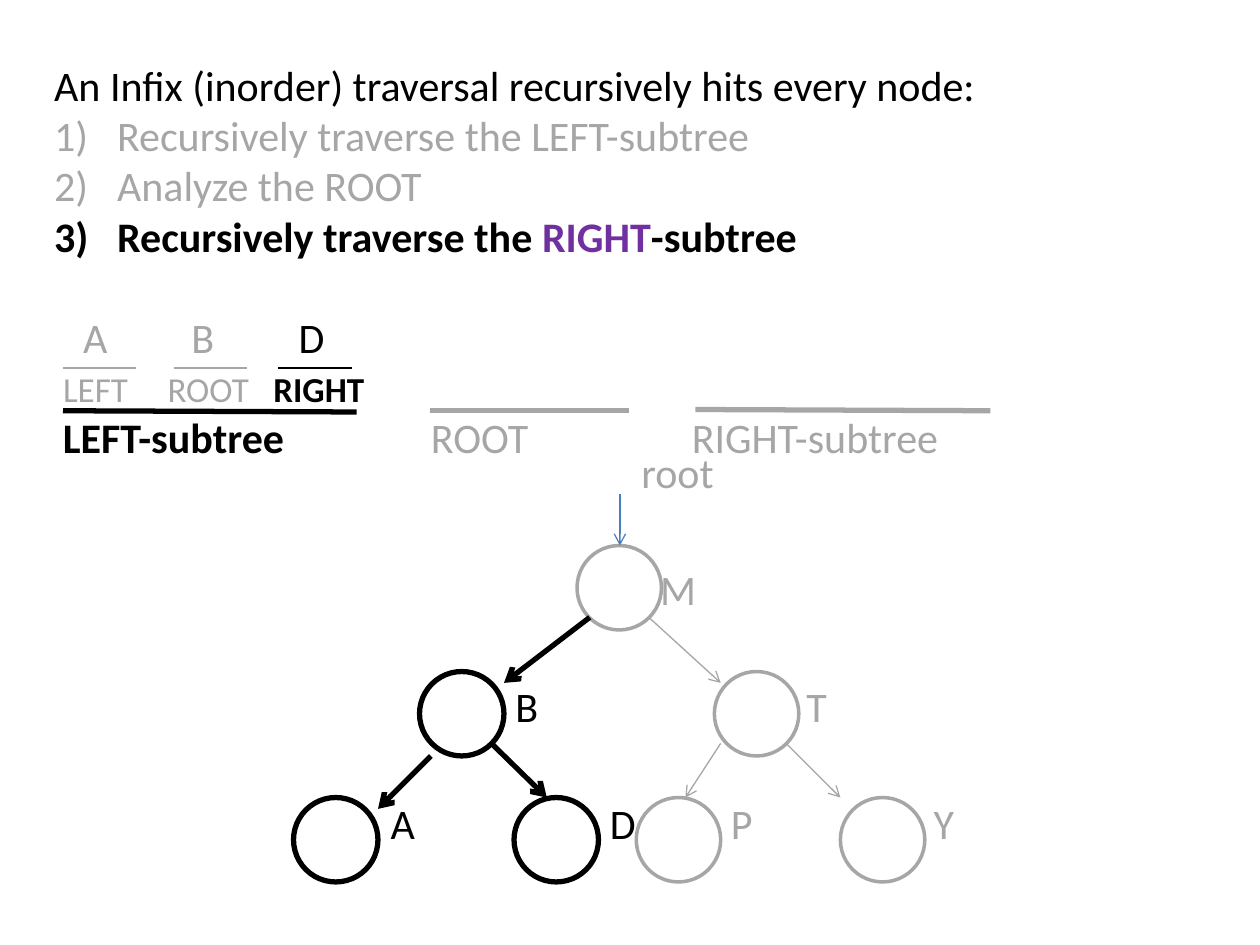
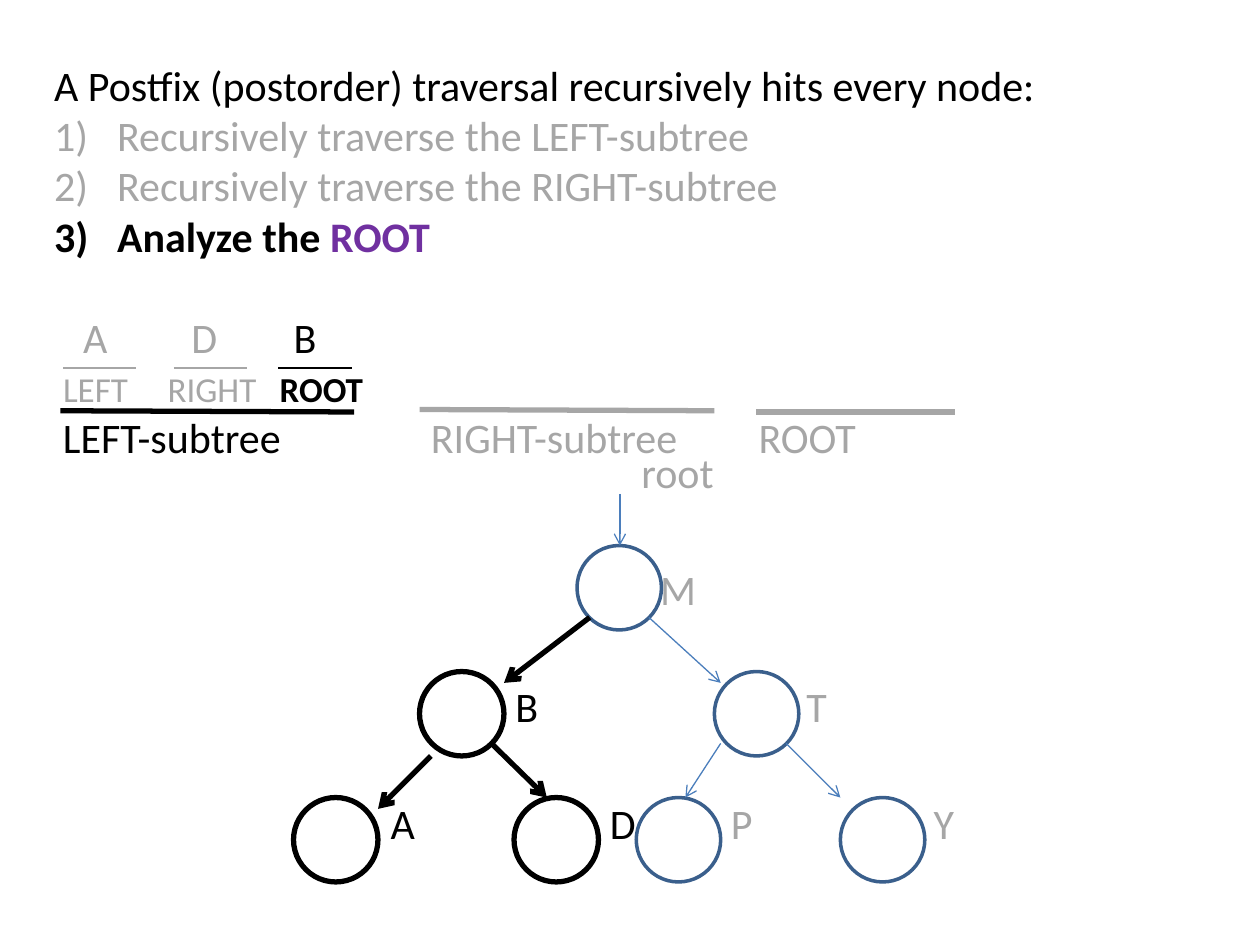
"""Builds two slides on recursive inorder and postorder tree traversal."""
from lxml.etree import SubElement
from pptx import Presentation
from pptx.dml.color import RGBColor
from pptx.enum.shapes import MSO_CONNECTOR, MSO_SHAPE
from pptx.enum.text import MSO_ANCHOR, MSO_AUTO_SIZE, PP_ALIGN
from pptx.oxml.ns import qn
from pptx.util import Inches, Pt

COLORS = {"black": "000000", "faded": "A6A6A6", "purple": "7030A0",
          "arrow": "4B7EBC", "node": "3A5F8C"}
FRAME = {"margin_left": 0, "margin_right": 0, "margin_top": 0, "margin_bottom": 0,
         "vertical_anchor": MSO_ANCHOR.TOP, "auto_size": MSO_AUTO_SIZE.NONE}
TEXT_LEFT, TEXT_TOP, LINE_PITCH = 0.43, 0.47, 0.4
NODE_SIZE, ROOT_TOP, LABEL_TOP, LABEL_PITCH = 0.67, 4.33, 4.47, 0.93

# name: (level, circle left, label left, on the active subtree)
NODES = {"M": (0, 4.58, 5.24, False), "B": (1, 3.33, 4.09, True),
         "T": (1, 5.67, 6.4, False), "A": (2, 2.33, 3.1, True),
         "D": (2, 4.08, 4.84, True), "P": (2, 5.05, 5.8, False),
         "Y": (2, 6.67, 7.41, False)}
ACTIVE_EDGES = [(4.68, 4.9, 4, 5.42), (3.42, 6, 3, 6.42), (3.9, 5.9, 4.34, 6.33)]
OTHER_EDGES = [(5.15, 4.9, 5.72, 5.42), (5.72, 5.9, 5.44, 6.33), (6.24, 5.9, 6.67, 6.33)]
VISIT_RULES = [(0.5, "faded"), (1.38, "faded"), (2.21, "black")]

TRAVERSALS = [
    {"heading": "An Infix (inorder) traversal recursively hits every node:",
     "steps": ["Recursively traverse the LEFT-subtree", "Analyze the ROOT"],
     "current": [("Recursively traverse the ", "black"), ("RIGHT", "purple"),
                 ("-subtree", "black")],
     "visits": [("A", 0.66, "LEFT", 0.5), ("B", 1.52, "ROOT", 1.33),
                ("D", 2.37, "RIGHT", 2.17)],
     "parts": [("LEFT-subtree", 0.5), ("ROOT", 3.42), ("RIGHT-subtree", 5.49)],
     "part_rules": [(0.5, 3.26, 2.83, 3.27), (3.41, 3.26, 4.99, 3.26),
                    (5.52, 3.25, 7.86, 3.26)],
     "bold_part": True, "node": "faded", "edge": "faded"},
    {"heading": "A Postfix (postorder) traversal recursively hits every node:",
     "steps": ["Recursively traverse the LEFT-subtree",
               "Recursively traverse the RIGHT-subtree"],
     "current": [("Analyze the ", "black"), ("ROOT", "purple")],
     "visits": [("A", 0.66, "LEFT", 0.5), ("D", 1.52, "RIGHT", 1.33),
                ("B", 2.33, "ROOT", 2.22)],
     "parts": [("LEFT-subtree", 0.5), ("RIGHT-subtree", 3.42), ("ROOT", 6.02)],
     "part_rules": [(0.48, 3.26, 2.81, 3.27), (3.33, 3.25, 5.67, 3.26),
                    (6, 3.27, 7.58, 3.27)],
     "bold_part": False, "node": "node", "edge": "arrow"},
]


def row_top(row):
    """Return the top of a text row counted from the heading."""
    return TEXT_TOP + row * LINE_PITCH


class TraversalDeck:
    """Holds the presentation, its style and the current slide."""

    def __init__(self):
        self.deck = Presentation()
        self.deck.slide_width, self.deck.slide_height = Inches(10), Inches(7.5)
        self.slide = None

    def color(self, name):
        return RGBColor.from_string(COLORS[name])

    def frame(self, shape, wrap):
        for name, value in FRAME.items():
            setattr(shape.text_frame, name, value)
        shape.text_frame.word_wrap = wrap
        return shape.text_frame

    def run(self, paragraph, text, color, size=24, bold=False):
        piece = paragraph.add_run()
        piece.text = text
        for name, value in {"name": "Calibri", "size": Pt(size), "bold": bold}.items():
            setattr(piece.font, name, value)
        piece.font.color.rgb = self.color(color)

    def heading(self, text):
        self.slide = self.deck.slides.add_slide(self.deck.slide_layouts[5])
        title = self.slide.shapes.title
        place = {"left": TEXT_LEFT, "top": TEXT_TOP, "width": 9.3, "height": LINE_PITCH}
        for name, value in place.items():
            setattr(title, name, Inches(value))
        paragraph = self.frame(title, True).paragraphs[0]
        paragraph.alignment = PP_ALIGN.LEFT
        self.run(paragraph, text, "black")

    def steps(self, done, current):
        box = self.slide.shapes.add_textbox(Inches(TEXT_LEFT), Inches(row_top(1)),
                                            Inches(9.3), Inches(3 * LINE_PITCH))
        frame = self.frame(box, True)
        lines = [[(text, "faded")] for text in done] + [current]
        for index, pieces in enumerate(lines):
            paragraph = frame.paragraphs[0] if index == 0 else frame.add_paragraph()
            props = paragraph._p.get_or_add_pPr()
            props.set("marL", str(Inches(0.5)))
            props.set("indent", str(Inches(-0.5)))
            SubElement(props, qn("a:buFont"), typeface="+mj-lt")
            SubElement(props, qn("a:buAutoNum"), type="arabicParenR")
            for text, color in pieces:
                self.run(paragraph, text, color, bold=pieces is current)

    def label(self, text, left, top, color, size=24, bold=False):
        box = self.slide.shapes.add_textbox(Inches(left), Inches(top),
                                            Inches(0.1 + 0.17 * len(text)), Inches(LINE_PITCH))
        self.run(self.frame(box, False).paragraphs[0], text, color, size, bold)

    def line(self, ends, color, width=0.75, arrow=False):
        link = self.slide.shapes.add_connector(MSO_CONNECTOR.STRAIGHT,
                                               *[Inches(end) for end in ends])
        link.line.color.rgb = self.color(color)
        link.line.width = Pt(width)
        if arrow:
            SubElement(link.line._get_or_add_ln(), qn("a:tailEnd"), type="arrow")
        SubElement(link._element.spPr, qn("a:effectLst"))

    def circle(self, left, top, color, width):
        node = self.slide.shapes.add_shape(MSO_SHAPE.OVAL, Inches(left), Inches(top),
                                           Inches(NODE_SIZE), Inches(NODE_SIZE))
        node.shadow.inherit = False
        node.fill.background()
        node.line.color.rgb = self.color(color)
        node.line.width = Pt(width)

    def tree(self, node_color, edge_color):
        self.label("root", 5.09, LABEL_TOP - LABEL_PITCH, "faded")
        for name, (level, _, left, active) in NODES.items():
            self.label(name, left, LABEL_TOP + level * LABEL_PITCH,
                       "black" if active else "faded")
        for level, left, _, active in NODES.values():
            style = ("black", 3) if active else (node_color, 2)
            self.circle(left, ROOT_TOP + level, *style)
        self.line((4.92, 3.92, 4.92, ROOT_TOP), "arrow", arrow=True)
        for ends in ACTIVE_EDGES:
            self.line(ends, "black", 3, arrow=True)
        for ends in OTHER_EDGES:
            self.line(ends, edge_color, arrow=True)

    def progress(self, traversal):
        visits = zip(traversal["visits"], VISIT_RULES)
        for (letter, letter_left, part, part_left), (rule_left, color) in visits:
            self.label(letter, letter_left, row_top(5), color)
            self.label(part, part_left, row_top(6) + 0.05, color, 20, color == "black")
            self.line((rule_left, 2.92, rule_left + 0.58, 2.92), color)
        parts = zip(traversal["parts"], traversal["part_rules"])
        for index, ((part, left), ends) in enumerate(parts):
            color = "faded" if index else "black"
            self.label(part, left, row_top(7), color,
                       bold=index == 0 and traversal["bold_part"])
            self.line(ends, color, 3)

    def add(self, traversal):
        self.heading(traversal["heading"])
        self.tree(traversal["node"], traversal["edge"])
        self.steps(traversal["steps"], traversal["current"])
        self.progress(traversal)


def main():
    """Build both slides and save them."""
    lesson = TraversalDeck()
    for traversal in TRAVERSALS:
        lesson.add(traversal)
    lesson.deck.save("out.pptx")


if __name__ == "__main__":
    main()
